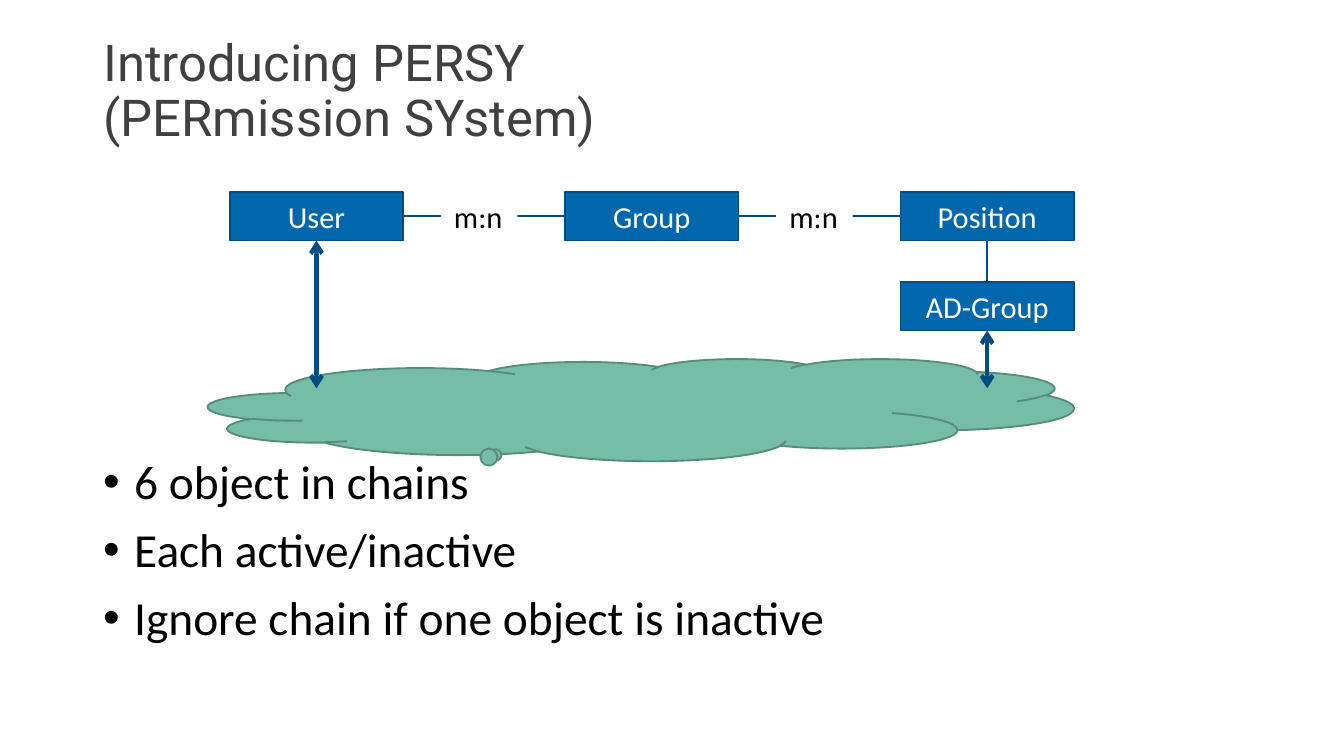
from lxml import etree
from pptx import Presentation
from pptx.dml.color import RGBColor
from pptx.enum.shapes import MSO_CONNECTOR, MSO_SHAPE
from pptx.enum.text import MSO_ANCHOR, PP_ALIGN
from pptx.oxml.ns import qn
from pptx.util import Inches, Pt

COLORS = {
    "title": "404040", "text": "000000", "white": "FFFFFF",
    "box": "0067AD", "box_line": "004C80", "arrow": "004D82",
    "cloud": "75BDA7", "cloud_line": "578C7C",
}
TITLE = "Introducing PERSY\v(PERmission SYstem)"
BULLETS = ["6 object in chains", "Each active/inactive",
           "Ignore chain if one object is inactive"]
CHAIN = ["User", "Group", "Position"]
DIRECTORY_GROUP = "AD-Group"
RELATION = "m:n"

BOX_WIDTH, BOX_HEIGHT = 1.29, 0.36
CHAIN_LEFT, CHAIN_RIGHT, CHAIN_TOP = 1.71, 7.99, 1.43
CHAIN_STEP = (CHAIN_RIGHT - BOX_WIDTH - CHAIN_LEFT) / (len(CHAIN) - 1)
DIRECTORY_TOP = 2.1
ARROW_END = 2.89
LABEL_WIDTH, LABEL_HEIGHT = 0.57, 0.38
LABEL_OFFSET = 1.57
TOP, LEFT, BOTTOM, RIGHT = range(4)


def color(name):
    return RGBColor.from_string(COLORS[name])


def style_text(shape, size, font_color, font="Calibri"):
    for paragraph in shape.text_frame.paragraphs:
        for run in paragraph.runs:
            run.font.size = Pt(size)
            run.font.name = font
            run.font.color.rgb = color(font_color)


def add_shape(kind, left, top, width, height, fill, line=None):
    shape = slide.shapes.add_shape(
        kind, Inches(left), Inches(top), Inches(width), Inches(height))
    shape.shadow.inherit = False
    shape.fill.solid()
    shape.fill.fore_color.rgb = color(fill)
    if line:
        shape.line.color.rgb = color(line)
        shape.line.width = Pt(1)
    else:
        shape.line.fill.background()
    return shape


def add_box(text, left, top):
    box = add_shape(MSO_SHAPE.RECTANGLE, left, top, BOX_WIDTH, BOX_HEIGHT,
                    "box", "box_line")
    frame = box.text_frame
    frame.text = text
    frame.vertical_anchor = MSO_ANCHOR.MIDDLE
    frame.margin_left = frame.margin_right = Inches(0.04)
    frame.margin_top = frame.margin_bottom = Inches(0.05)
    frame.paragraphs[0].alignment = PP_ALIGN.CENTER
    style_text(box, 16.3, "white")
    return box


def add_label(text, left):
    top = CHAIN_TOP + (BOX_HEIGHT - LABEL_HEIGHT) / 2
    label = add_shape(MSO_SHAPE.RECTANGLE, left, top,
                      LABEL_WIDTH, LABEL_HEIGHT, "white")
    label.text_frame.text = text
    label.text_frame.word_wrap = False
    label.text_frame.vertical_anchor = MSO_ANCHOR.MIDDLE
    label.text_frame.paragraphs[0].alignment = PP_ALIGN.LEFT
    style_text(label, 16.3, "text")


def add_line(start, start_side, end=None, end_side=None):
    """Join two boxes, or draw a double arrow from a box down to the cloud."""
    center = start.left + start.width // 2
    line = slide.shapes.add_connector(
        MSO_CONNECTOR.STRAIGHT, center, start.top + start.height,
        center, Inches(ARROW_END))
    line.begin_connect(start, start_side)
    if end is not None:
        line.end_connect(end, end_side)
        line.line.color.rgb = color("box_line")
        line.line.width = Pt(1)
    else:
        line.line.color.rgb = color("arrow")
        line.line.width = Pt(2.25)
        outline = line.line._get_or_add_ln()
        for tag in ("a:headEnd", "a:tailEnd"):
            etree.SubElement(outline, qn(tag), type="arrow")
    etree.SubElement(line._element.spPr, qn("a:effectLst"))


def add_text(text, top, height, anchor):
    box = slide.shapes.add_textbox(
        Inches(0.67), Inches(top), Inches(8.66), Inches(height))
    box.text_frame.word_wrap = True
    box.text_frame.vertical_anchor = anchor
    box.text_frame.text = text
    for paragraph in box.text_frame.paragraphs:
        paragraph.line_spacing = 0.9
    return box


presentation = Presentation()
presentation.slide_width = Inches(10)
presentation.slide_height = presentation.slide_width * 9 // 16
slide = presentation.slides.add_slide(presentation.slide_layouts[6])

cloud = add_shape(MSO_SHAPE.CLOUD_CALLOUT, 1.55, 2.67, 6.44, 0.76,
                  "cloud", "cloud_line")
cloud.adjustments[0], cloud.adjustments[1] = -0.166, 0.437

title = add_text(TITLE, 0.22, 0.94, MSO_ANCHOR.MIDDLE)
style_text(title, 27.2, "title", "Roboto")

body = add_text("\n".join(BULLETS), 3.36, 1.87, MSO_ANCHOR.TOP)
for index, paragraph in enumerate(body.text_frame.paragraphs):
    if index:
        paragraph.space_before = Pt(9.1)
    properties = paragraph._p.get_or_add_pPr()
    properties.set("marL", str(Inches(0.23)))
    properties.set("indent", str(-Inches(0.23)))
    etree.SubElement(properties, qn("a:buFont"), typeface="Arial")
    etree.SubElement(properties, qn("a:buChar"), char="•")
style_text(body, 25.4, "text")

lefts = [CHAIN_LEFT + index * CHAIN_STEP for index in range(len(CHAIN))]
boxes = [add_box(name, left, CHAIN_TOP) for name, left in zip(CHAIN, lefts)]
user, position = boxes[0], boxes[-1]
directory_group = add_box(DIRECTORY_GROUP, lefts[-1], DIRECTORY_TOP)

for left, first, second in zip(lefts, boxes, boxes[1:]):
    add_line(first, RIGHT, second, LEFT)
    add_label(RELATION, left + LABEL_OFFSET)
add_line(position, BOTTOM, directory_group, TOP)
for box in (user, directory_group):
    add_line(box, BOTTOM)

presentation.save("out.pptx")
